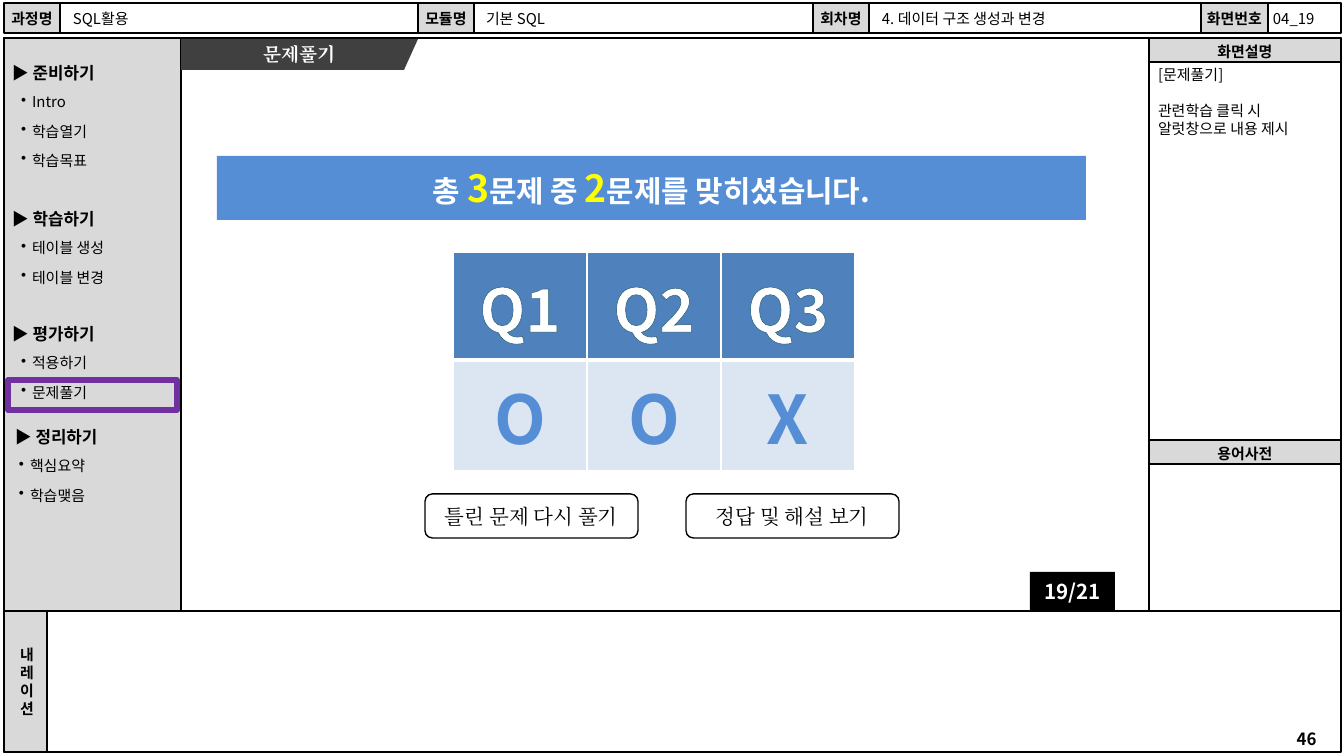
from lxml import etree
from pptx import Presentation
from pptx.dml.color import RGBColor
from pptx.enum.shapes import MSO_SHAPE
from pptx.enum.text import MSO_ANCHOR, MSO_AUTO_SIZE, PP_ALIGN
from pptx.oxml.ns import qn
from pptx.util import Pt

PX = 914400 / 134.4
RECTANGLE = MSO_SHAPE.RECTANGLE
ROUNDED = MSO_SHAPE.ROUNDED_RECTANGLE
LEFT, CENTER = PP_ALIGN.LEFT, PP_ALIGN.CENTER
TOP, MIDDLE = MSO_ANCHOR.TOP, MSO_ANCHOR.MIDDLE
NO_AUTOFIT = MSO_AUTO_SIZE.NONE
SANS, SERIF = "Noto Sans CJK KR", "Cambria"
COLORS = {
    "white": "FFFFFF", "black": "000000", "gray": "D9D9D9", "dark": "404040",
    "blue": "558ED5", "header": "4F81BD", "pale": "DCE6F2", "yellow": "FFFF00",
    "outline": "215968", "purple": "7030A0",
}


def px(value):
    return round(value * PX)


def color(name):
    return RGBColor.from_string(COLORS[name])


def add_line(parent, tag, **attributes):
    return etree.SubElement(parent, qn(tag), attributes)


def add_bullet(paragraph):
    properties = paragraph._p.get_or_add_pPr()
    properties.set("marL", str(px(11)))
    properties.set("indent", str(px(-11)))
    add_line(properties, "a:buChar", char="•")


def format_run(run, size, fill, bold, font, outline):
    run.font.name, run.font.size, run.font.bold = font, Pt(size), bold
    run.font.color.rgb = color(fill)
    properties = run._r.get_or_add_rPr()
    properties.find(qn("a:latin")).addnext(
        properties.makeelement(qn("a:ea"), {"typeface": font}))
    if outline:
        line = properties.makeelement(qn("a:ln"), {"w": str(Pt(0.75))})
        add_line(add_line(line, "a:solidFill"), "a:srgbClr", val=COLORS[outline])
        properties.insert(0, line)


def write(frame, paragraphs, size=8, fill="black", bold=False, font=SANS, align=LEFT,
          anchor=MIDDLE, insets=(0, 0, 0, 0), gap=0, bullet=False, tight=True,
          outline=None, wrap=True):
    if isinstance(paragraphs, str):
        paragraphs = [paragraphs]
    frame.auto_size, frame.word_wrap = NO_AUTOFIT, wrap
    frame.vertical_anchor = anchor
    (frame.margin_left, frame.margin_top,
     frame.margin_right, frame.margin_bottom) = map(px, insets)
    for index, content in enumerate(paragraphs):
        paragraph = frame.add_paragraph() if index else frame.paragraphs[0]
        if bullet:
            add_bullet(paragraph)
        paragraph.alignment = align
        paragraph.space_before = Pt(gap if index else 0)
        if tight:
            paragraph.line_spacing = Pt(size * 1.2)
        runs = [(content, size, fill)] if isinstance(content, str) else content
        for text, run_size, run_fill in runs:
            run = paragraph.add_run()
            run.text = text
            format_run(run, run_size, run_fill, bold, font, outline)


def add_box(slide, box, fill="white", line="black", width=0.75, kind=RECTANGLE):
    shape = slide.shapes.add_shape(kind, *map(px, box))
    shape.shadow.inherit = False
    if fill:
        shape.fill.solid()
        shape.fill.fore_color.rgb = color(fill)
    else:
        shape.fill.background()
    if line:
        shape.line.color.rgb = color(line)
        shape.line.width = Pt(width)
    else:
        shape.line.fill.background()
    return shape


def add_text(slide, box, paragraphs, **style):
    write(slide.shapes.add_textbox(*map(px, box)).text_frame, paragraphs, **style)


def add_header(slide, box):
    left, top, width, height = box
    fields = [("과정명", 56, "SQL활용", 358, 13), ("모듈명", 56, "기본 SQL", 339, 12),
              ("회차명", 56, "4. 데이터 구조 생성과 변경", 332, 13),
              ("화면번호", 67, "04_19", 73, 5)]
    for label, label_width, value, value_width, inset in fields:
        label_box = add_box(slide, (left, top, label_width, height), "gray")
        write(label_box.text_frame, label, bold=True, align=CENTER, wrap=False)
        left += label_width
        value_box = add_box(slide, (left, top, value_width, height))
        write(value_box.text_frame, value, insets=(inset, 0, 0, 0))
        left += value_width


def add_sidebar(slide, box):
    left, top, width, height = box
    add_box(slide, box, "gray")
    sections = [("준비하기", ["Intro", "학습열기", "학습목표"], 25, 8, 17),
                ("학습하기", ["테이블 생성", "테이블 변경"], 171, 8, 17),
                ("평가하기", ["적용하기", "문제풀기"], 286, 8, 17),
                ("정리하기", ["핵심요약", "학습맺음"], 389, 11, 15)]
    for heading, items, offset, heading_indent, item_indent in sections:
        add_text(slide, (left + heading_indent, top + offset, 140, 22), "▶ " + heading,
                 size=9, bold=True, anchor=TOP)
        add_text(slide, (left + item_indent, top + offset + 30, 155, 29 * len(items)),
                 items, gap=6, bullet=True, anchor=TOP)
    add_box(slide, (left + 4, top + 342, width - 8, 30), None, "purple", 3)


def add_side_panel(slide, box):
    left, top, width, height = box
    add_box(slide, box)
    for label, offset in [("화면설명", 0), ("용어사전", 402)]:
        label_box = add_box(slide, (left, top + offset, width, 24), "gray")
        write(label_box.text_frame, label, bold=True, align=CENTER, insets=(0, 4, 0, 0))
    area = (left + 9, top + 28, width - 19, 370)
    add_text(slide, area, ["[문제풀기]", "관련학습 클릭 시 알럿창으로 내용 제시"],
             gap=9.6, anchor=TOP)


def add_narration(slide, box):
    left, top, width, height = box
    add_box(slide, box)
    label_box = add_box(slide, (left, top, 43, height), "gray")
    write(label_box.text_frame, list("내레이션"), bold=True, align=CENTER,
          insets=(3, 0, 0, 0))
    add_text(slide, (left + width - 66, top + 117, 63, 22), "46", size=9, bold=True,
             align=CENTER)


def add_title(slide, box):
    left, top, width, height = box
    builder = slide.shapes.build_freeform(left, top, scale=PX)
    builder.add_line_segments([(left + width, top), (left + width - 14, top + height),
                               (left, top + height)], close=True)
    tab = builder.convert_to_shape()
    tab.shadow.inherit = False
    tab.fill.solid()
    tab.fill.fore_color.rgb = color("dark")
    tab.line.fill.background()
    title = slide.shapes.title
    title.left, title.top, title.width, title.height = map(px, box)
    write(title.text_frame, "문제풀기", size=10, fill="white", bold=True, font=SERIF,
          align=CENTER)
    slide.shapes._spTree.append(title._element)


def add_cell_borders(cell, bottom):
    properties = cell._tc.get_or_add_tcPr()
    for index, (tag, width) in enumerate(
            [("a:lnL", 1), ("a:lnR", 1), ("a:lnT", 1), ("a:lnB", bottom)]):
        line = properties.makeelement(qn(tag), {"w": str(Pt(width))})
        add_line(add_line(line, "a:solidFill"), "a:srgbClr", val=COLORS["white"])
        properties.insert(index, line)


def add_score_table(slide, box):
    rows = [(["Q1", "Q2", "Q3"], "header", 3,
             dict(size=32, fill="white", outline="outline")),
            (["O", "O", "X"], "pale", 1, dict(size=36, fill="blue"))]
    table = slide.shapes.add_table(2, 3, *map(px, box)).table
    for row_index, (texts, fill, bottom, style) in enumerate(rows):
        for column_index, text in enumerate(texts):
            cell = table.cell(row_index, column_index)
            cell.fill.solid()
            cell.fill.fore_color.rgb = color(fill)
            cell.vertical_anchor = MIDDLE
            cell.margin_left = cell.margin_right = px(13)
            cell.margin_top = cell.margin_bottom = px(7)
            paragraph = cell.text_frame.paragraphs[0]
            paragraph.alignment = CENTER
            run = paragraph.add_run()
            run.text = text
            format_run(run, style["size"], style["fill"], True, SANS,
                       style.get("outline"))
            add_cell_borders(cell, bottom)


def add_result(slide, box):
    left, top, width, height = box
    banner = add_box(slide, (left + 36, top + 118, 869, 64), "blue", None)
    sentence = [("총 ", 16, "white"), ("3", 20, "yellow"), ("문제 중 ", 16, "white"),
                ("2", 20, "yellow"), ("문제를 맞히셨습니다.", 16, "white")]
    write(banner.text_frame, [sentence], bold=True, align=CENTER, tight=False)
    add_score_table(slide, (left + 272, top + 214, 402, 216))
    for index, label in enumerate(["틀린 문제 다시 풀기", "정답 및 해설 보기"]):
        button = add_box(slide, (left + 244 + 261 * index, top + 456, 213, 44),
                         kind=ROUNDED)
        write(button.text_frame, label, size=11, font=SERIF, align=CENTER)
    page = add_box(slide, (left + 849, top + 534, 85, 38), "black", None)
    write(page.text_frame, "19/21", size=11, fill="white", bold=True, align=CENTER)


def main():
    presentation = Presentation()
    presentation.slide_width, presentation.slide_height = px(1344), px(756)
    slide = presentation.slides.add_slide(presentation.slide_layouts[5])
    add_box(slide, (4, 38, 1145, 573))
    add_header(slide, (4, 3, 1337, 30))
    add_sidebar(slide, (4, 38, 177, 573))
    add_side_panel(slide, (1149, 38, 192, 573))
    add_narration(slide, (4, 611, 1337, 141))
    add_title(slide, (181, 39, 237, 31))
    add_result(slide, (181, 38, 968, 573))
    presentation.save("out.pptx")


if __name__ == "__main__":
    main()
